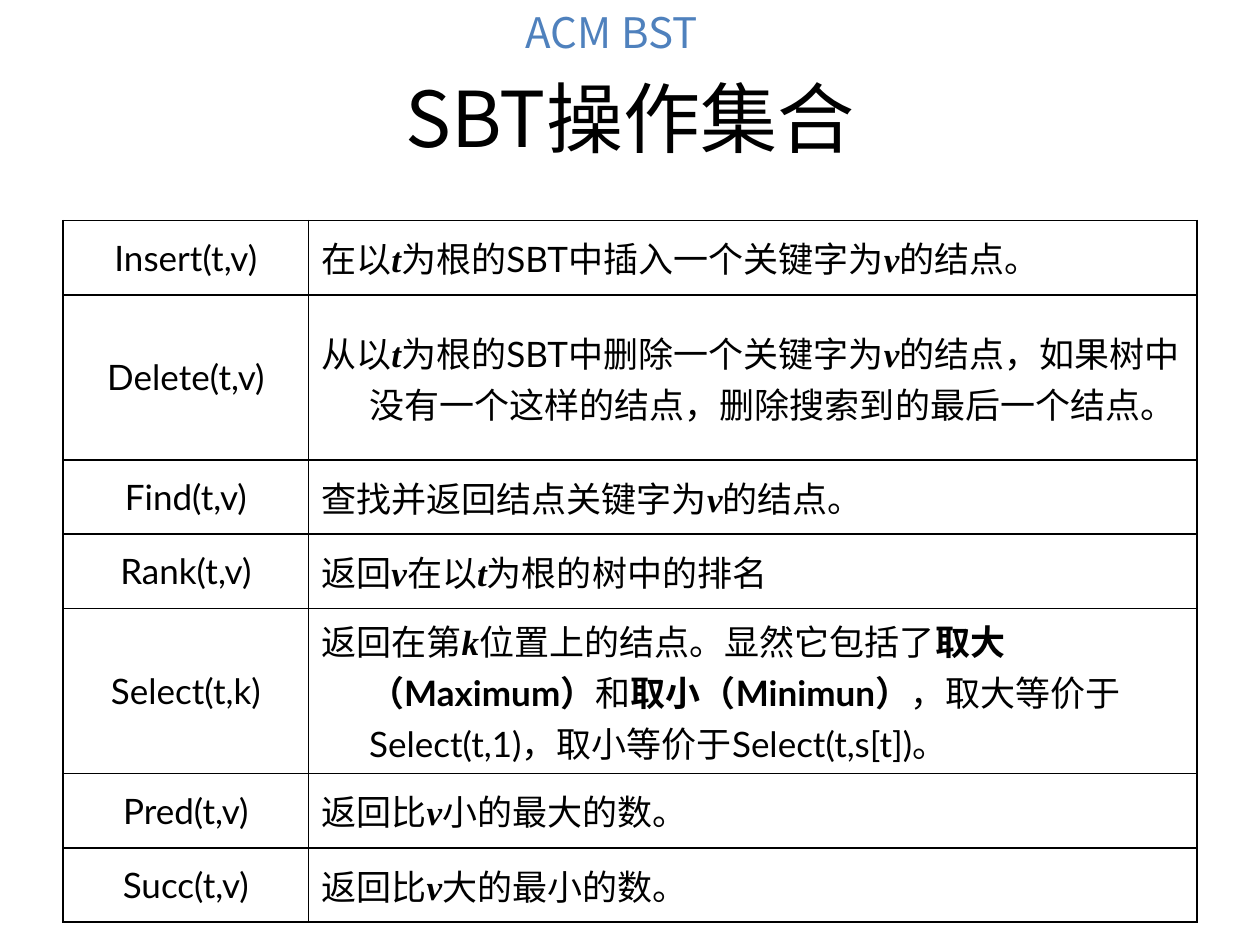
from collections import namedtuple
from dataclasses import dataclass

from lxml.etree import SubElement
from pptx import Presentation
from pptx.dml.color import RGBColor
from pptx.enum.shapes import MSO_SHAPE
from pptx.enum.text import MSO_ANCHOR, PP_ALIGN
from pptx.oxml.ns import qn
from pptx.util import Inches, Pt


@dataclass(frozen=True)
class Theme:
    ink: str = "000000"
    accent: str = "4F81BD"
    veil: str = "FFFFFF"
    veil_opacity: int = 75
    body_font: str = "Lato"
    variable_font: str = "Times New Roman"
    header_font: str = "Noto Sans CJK SC"
    title_font: str = "Noto Sans CJK JP"
    header_size: int = 24
    title_size: int = 44
    body_size: int = 20
    border_width: int = 1


THEME = Theme()
Span = namedtuple("Span", "text format")
BORDERS = ("a:lnL", "a:lnR", "a:lnT", "a:lnB")
COLUMN_WIDTHS = (1.95, 7.05)
SINGLE_ROW = 0.59
TRIPLE_ROW = 1.31


def plain(text):
    return Span(text, {"name": THEME.body_font, "bold": False, "italic": False})


def strong(text):
    return Span(text, {"name": THEME.body_font, "bold": True, "italic": False})


def variable(text):
    return Span(text, {"name": THEME.variable_font, "bold": True, "italic": True})


OPERATIONS = [
    ("Insert(t,v)", SINGLE_ROW, [
        plain("在以"), variable("t"), plain("为根的SBT中插入一个关键字为"),
        variable("v"), plain("的结点。")]),
    ("Delete(t,v)", TRIPLE_ROW, [
        plain("从以"), variable("t"), plain("为根的SBT中删除一个关键字为"),
        variable("v"),
        plain("的结点，如果树中没有一个这样的结点，删除搜索到的最后一个结点。")]),
    ("Find(t,v)", SINGLE_ROW, [
        plain("查找并返回结点关键字为"), variable("v"), plain("的结点。")]),
    ("Rank(t,v)", SINGLE_ROW, [
        plain("返回"), variable("v"), plain("在以"), variable("t"),
        plain("为根的树中的排名")]),
    ("Select(t,k)", TRIPLE_ROW, [
        plain("返回在第"), variable("k"), plain("位置上的结点。显然它包括了"),
        strong("取大（Maximum）"), plain("和"), strong("取小（Minimun）"),
        plain("，取大等价于Select(t,1)，取小等价于Select(t,s[t])。")]),
    ("Pred(t,v)", SINGLE_ROW, [
        plain("返回比"), variable("v"), plain("小的最大的数。")]),
    ("Succ(t,v)", SINGLE_ROW, [
        plain("返回比"), variable("v"), plain("大的最小的数。")]),
]


def add_veil(slide, width, height):
    veil = slide.shapes.add_shape(MSO_SHAPE.RECTANGLE, 0, 0, width, height)
    veil.shadow.inherit = False
    veil.line.fill.background()
    veil.fill.solid()
    veil.fill.fore_color.rgb = RGBColor.from_string(THEME.veil)
    color = veil._element.spPr.find(qn("a:solidFill")).find(qn("a:srgbClr"))
    SubElement(color, qn("a:alpha"), val=str(THEME.veil_opacity * 1000))


def add_span(para, span, size, color, east_asian_font):
    run = para.add_run()
    run.text = span.text
    for name, value in {**span.format, "size": Pt(size)}.items():
        setattr(run.font, name, value)
    run.font.color.rgb = RGBColor.from_string(color)
    SubElement(run.font._element, qn("a:ea"), typeface=east_asian_font)


def add_heading(slide, bounds, text, font, size, color, anchor):
    box = slide.shapes.add_textbox(*map(Inches, bounds))
    frame = box.text_frame
    for name, value in {"word_wrap": True, "vertical_anchor": anchor}.items():
        setattr(frame, name, value)
    para = frame.paragraphs[0]
    para.alignment = PP_ALIGN.CENTER
    add_span(para, Span(text, {"name": font}), size, color, font)


def add_borders(cell):
    properties = cell._tc.get_or_add_tcPr()
    for tag in BORDERS:
        line = SubElement(properties, qn(tag), w=str(Pt(THEME.border_width)))
        fill = SubElement(line, qn("a:solidFill"))
        SubElement(fill, qn("a:srgbClr"), val=THEME.ink)


def fill_cell(cell, spans, alignment):
    cell.vertical_anchor = MSO_ANCHOR.MIDDLE
    add_borders(cell)
    cell.fill.background()
    para = cell.text_frame.paragraphs[0]
    para.alignment = alignment
    properties = para._p.get_or_add_pPr()
    for name, value in {"marL": 0.38, "indent": -0.38}.items():
        properties.set(name, str(Inches(value)))
    for span in spans:
        add_span(para, span, THEME.body_size, THEME.ink, THEME.header_font)


def add_operations_table(slide):
    height = sum(row_height for _, row_height, _ in OPERATIONS)
    bounds = (0.5, 1.75, sum(COLUMN_WIDTHS), height)
    table = slide.shapes.add_table(
        len(OPERATIONS), len(COLUMN_WIDTHS), *map(Inches, bounds)).table
    for name, value in {"first_row": False, "horz_banding": False}.items():
        setattr(table, name, value)
    for column, width in zip(table.columns, COLUMN_WIDTHS):
        column.width = Inches(width)
    for row, (signature, row_height, description) in zip(table.rows, OPERATIONS):
        row.height = Inches(row_height)
        fill_cell(row.cells[0], [plain(signature)], PP_ALIGN.CENTER)
        fill_cell(row.cells[1], description, PP_ALIGN.LEFT)


def main():
    deck = Presentation()
    deck.slide_width, deck.slide_height = Inches(10), Inches(7.5)
    slide = deck.slides.add_slide(deck.slide_layouts[6])
    add_veil(slide, deck.slide_width, deck.slide_height)
    add_heading(slide, (3.94, 0, 1.83, 0.5), "ACM BST", THEME.header_font,
                THEME.header_size, THEME.accent, MSO_ANCHOR.TOP)
    add_heading(slide, (0.5, 0.3, 9, 1.25), "SBT操作集合", THEME.title_font,
                THEME.title_size, THEME.ink, MSO_ANCHOR.MIDDLE)
    add_operations_table(slide)
    deck.save("out.pptx")


if __name__ == "__main__":
    main()
